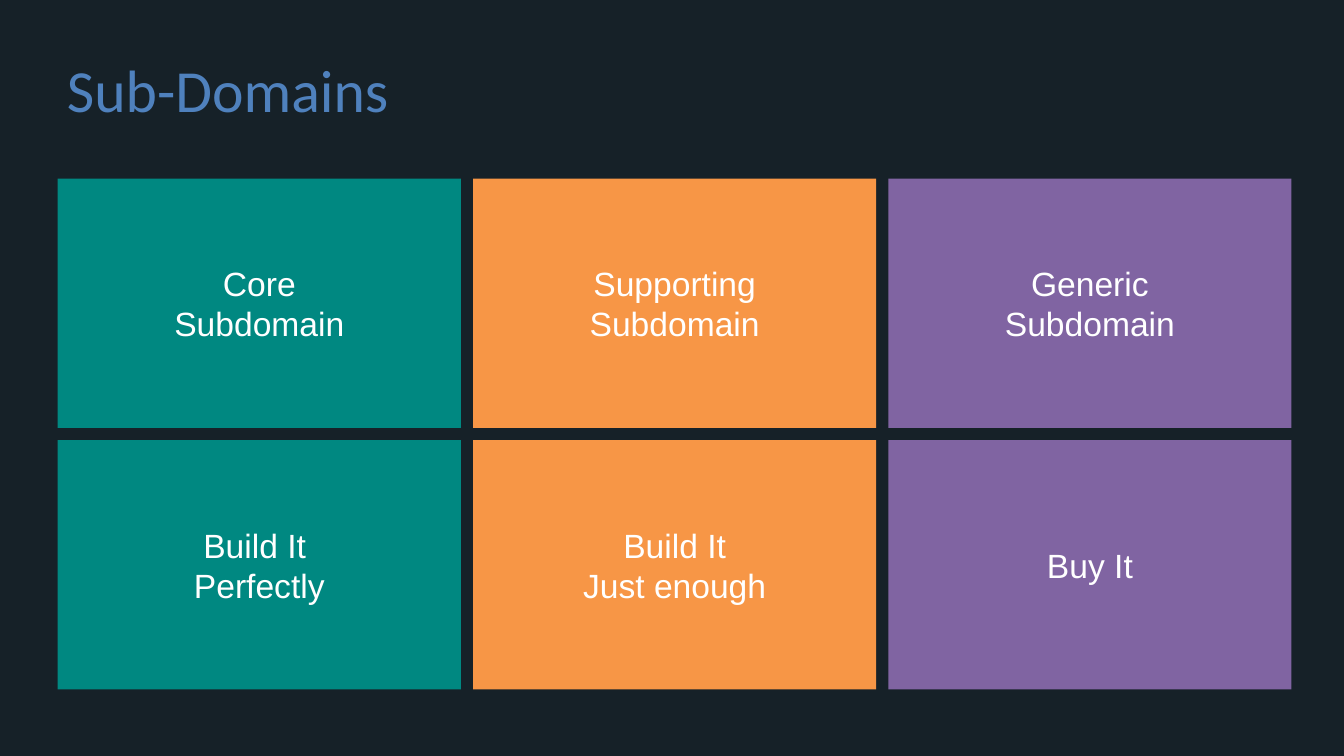
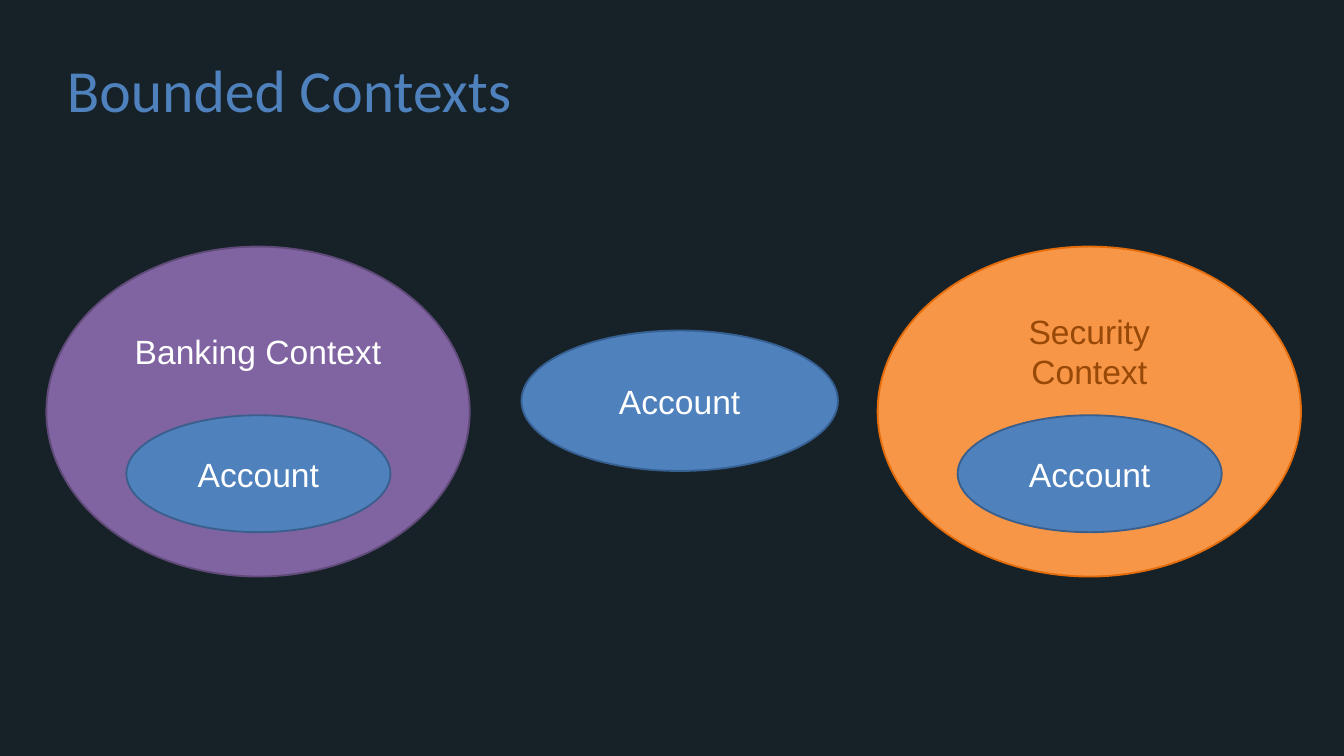
from pptx import Presentation
from pptx import util as u
from pptx.dml.color import RGBColor
from pptx.enum import shapes, text

PX = u.Inches(1) // 200
COLOURS = {
    "background": "162128",
    "blue": "4F81BD",
    "blue_edge": "376092",
    "blue_inner_edge": "3A5F8C",
    "teal": "008881",
    "orange": "F79646",
    "orange_edge": "E46C0A",
    "brown": "984807",
    "purple": "8064A2",
    "purple_edge": "5F4A78",
    "white": "FFFFFF",
}
SUBDOMAINS = [
    ("teal", "Core\nSubdomain", "Build It \vPerfectly"),
    ("orange", "Supporting\nSubdomain", "Build It\nJust enough"),
    ("purple", "Generic\nSubdomain", "Buy It"),
]


def colour(name):
    return RGBColor.from_string(COLOURS[name])


def place(*lengths):
    return [length * PX for length in lengths]


def style_font(paragraph, name, size, ink):
    paragraph.font.name = name
    paragraph.font.size = u.Pt(size)
    paragraph.font.color.rgb = colour(ink)


def add_slide(deck, title):
    slide = deck.slides.add_slide(deck.slide_layouts[6])
    slide.background.fill.solid()
    slide.background.fill.fore_color.rgb = colour("background")
    frame = slide.shapes.add_textbox(*place(80, 71, 1840, 100)).text_frame
    frame.word_wrap = True
    frame.margin_left = frame.margin_right = 20 * PX
    frame.margin_top = frame.margin_bottom = 20 * PX
    frame.text = title
    paragraph = frame.paragraphs[0]
    paragraph.line_spacing = 0.9
    style_font(paragraph, "Calibri", 32, "blue")
    return slide


def add_label_shape(parent, kind, bounds, label, fill, edge=None, ink="white"):
    shape = parent.shapes.add_shape(kind, *place(*bounds))
    shape.shadow.inherit = False
    shape.fill.solid()
    shape.fill.fore_color.rgb = colour(fill)
    if edge:
        shape.line.color.rgb = colour(edge)
        shape.line.width = u.Pt(1)
    else:
        shape.line.fill.background()
    frame = shape.text_frame
    frame.word_wrap = True
    frame.vertical_anchor = text.MSO_ANCHOR.MIDDLE
    frame.text = label
    for paragraph in frame.paragraphs:
        paragraph.alignment = text.PP_ALIGN.CENTER
        style_font(paragraph, "Arial", 18, ink)
    return shape


def add_ellipse(parent, bounds, label, fill, edge, ink="white"):
    return add_label_shape(parent, shapes.MSO_SHAPE.OVAL, bounds, label, fill, edge, ink)


def add_context(slide, left, label, fill, edge, ink):
    group = slide.shapes.add_group_shape()
    context = add_ellipse(group, (left, 367, 630, 491), label, fill, edge, ink)
    context.text_frame.margin_bottom = 189 * PX
    add_ellipse(group, (left + 119, 618, 393, 174), "Account", "blue", "blue_inner_edge")


def build_subdomains(deck):
    slide = add_slide(deck, "Sub-Domains")
    width, height, gap = 600, 371, 18
    for column, (fill, *labels) in enumerate(SUBDOMAINS):
        for row, label in enumerate(labels):
            left = 86 + column * (width + gap)
            top = 266 + row * (height + gap)
            add_label_shape(slide, shapes.MSO_SHAPE.RECTANGLE,
                            (left, top, width, height), label, fill)


def build_contexts(deck):
    slide = add_slide(deck, "Bounded Contexts")
    add_context(slide, 69, "Banking Context", "purple", "purple_edge", "white")
    add_ellipse(slide, (776, 492, 471, 209), "Account", "blue", "blue_edge")
    add_context(slide, 1306, "Security\nContext", "orange", "orange_edge", "brown")


def main():
    deck = Presentation()
    deck.slide_width, deck.slide_height = place(2000, 1125)
    build_subdomains(deck)
    build_contexts(deck)
    deck.save("out.pptx")


if __name__ == "__main__":
    main()
